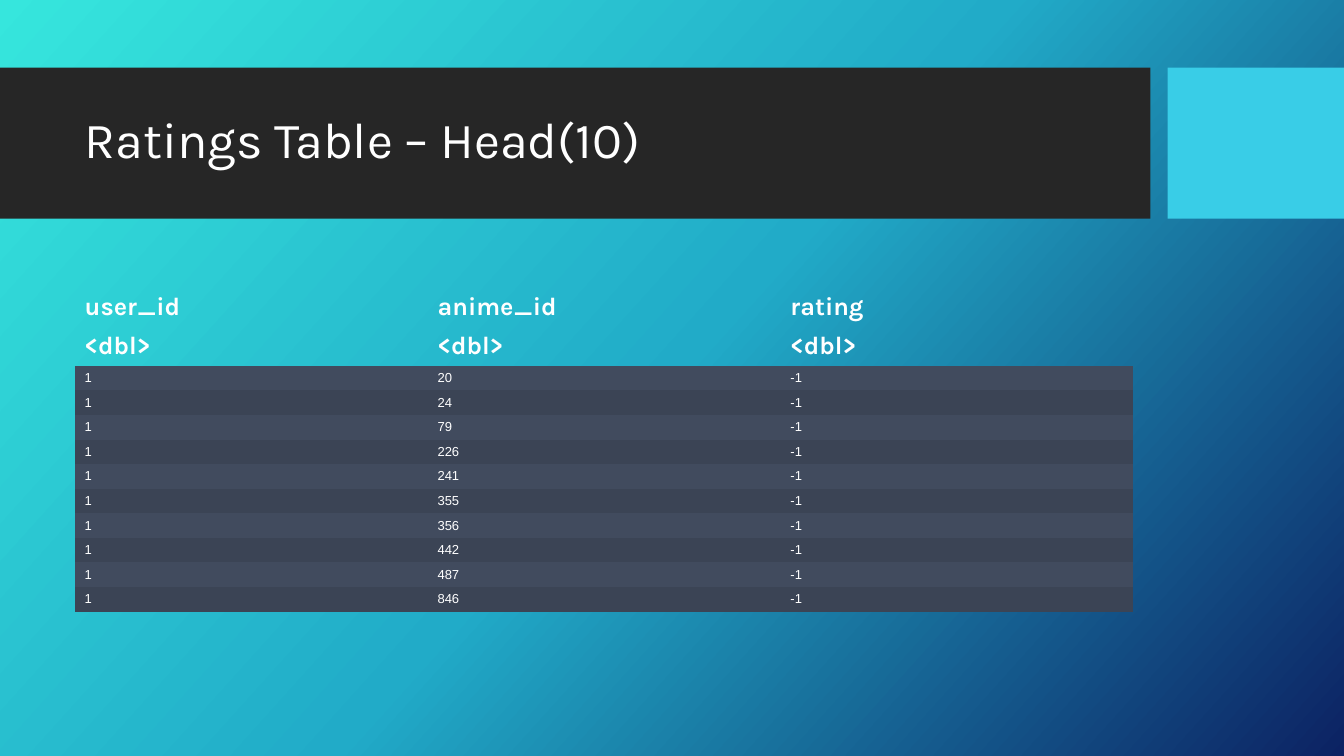
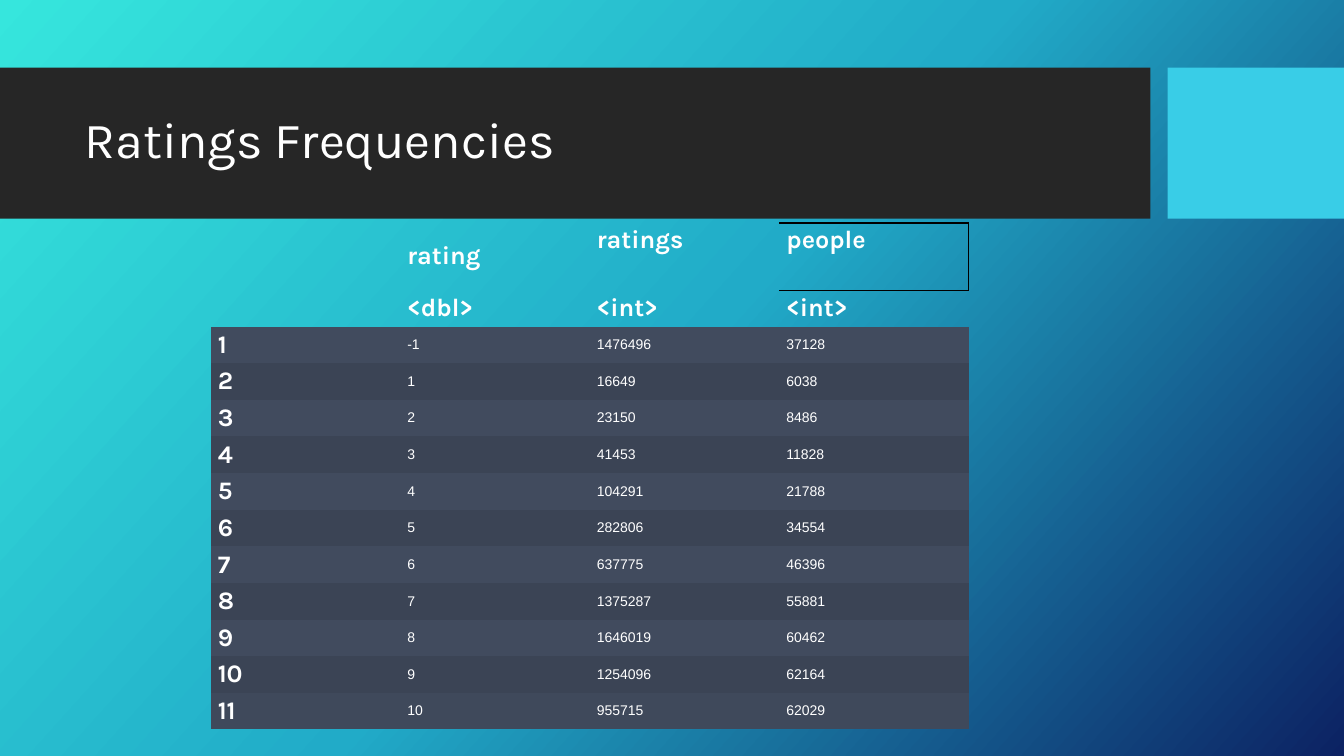
from copy import deepcopy
from dataclasses import dataclass

from pptx import Presentation
from pptx.dml.color import RGBColor
from pptx.enum.shapes import MSO_SHAPE
from pptx.enum.text import MSO_ANCHOR, MSO_AUTO_SIZE, PP_ALIGN
from pptx.oxml import parse_xml
from pptx.oxml.ns import nsdecls, qn
from pptx.util import Inches, Pt

WHITE = RGBColor(0xFF, 0xFF, 0xFF)
CHARCOAL = RGBColor(0x26, 0x26, 0x26)
CYAN = RGBColor(0x39, 0xCD, 0xE7)
ROW_LIGHT = RGBColor(0x41, 0x4B, 0x5E)
ROW_DARK = RGBColor(0x3B, 0x44, 0x55)
ROW_LAST = RGBColor(0x3F, 0x49, 0x5B)
GRADIENT = (
    (0, RGBColor(0x36, 0xE6, 0xDD)),
    (0.5, RGBColor(0x21, 0xAB, 0xC8)),
    (1, RGBColor(0x0C, 0x22, 0x63)),
)

TITLE_FONT = {"name": "Karla", "size": Pt(36), "bold": False}
HEADER_FONT = {"name": "Karla", "size": Pt(18), "bold": True}
NO_GRID_STYLE = "{2D5ABB26-0587-4C30-8999-92F81FD0307C}"


@dataclass(frozen=True)
class Band:
    left: float
    width: float
    color: RGBColor


@dataclass(frozen=True)
class DataTable:
    title: str
    left: float
    top: float
    column_width: float
    header_heights: tuple[float, float]
    body_height: float
    side_margin: float
    body_size: float
    headers: tuple[tuple[str, ...], tuple[str, ...]]
    rows: list[tuple[str, ...]]
    has_index: bool = False
    last_fill: RGBColor | None = None
    top_headers: tuple[int, ...] = ()
    boxed_header: int | None = None


BANDS = (Band(0, 11.41, CHARCOAL), Band(11.58, 1.75, CYAN))

ANIME_IDS = (20, 24, 79, 226, 241, 355, 356, 442, 487, 846)
FREQUENCIES = (
    (-1, 1476496, 37128),
    (1, 16649, 6038),
    (2, 23150, 8486),
    (3, 41453, 11828),
    (4, 104291, 21788),
    (5, 282806, 34554),
    (6, 637775, 46396),
    (7, 1375287, 55881),
    (8, 1646019, 60462),
    (9, 1254096, 62164),
    (10, 955715, 62029),
)

TABLES = (
    DataTable(
        title="Ratings Table – Head(10)",
        left=0.74, top=2.85, column_width=3.5,
        header_heights=(0.39, 0.39), body_height=2.44,
        side_margin=0.1, body_size=9.3,
        headers=(("user_id", "anime_id", "rating"), ("<dbl>",) * 3),
        rows=[("1", str(anime), "-1") for anime in ANIME_IDS],
    ),
    DataTable(
        title="Ratings Frequencies",
        left=2.09, top=2.21, column_width=1.88,
        header_heights=(0.67, 0.36), body_height=4,
        side_margin=0.07, body_size=10,
        headers=(("", "rating", "ratings", "people"),
                 ("", "<dbl>", "<int>", "<int>")),
        rows=[tuple(map(str, (index, *values)))
              for index, values in enumerate(FREQUENCIES, 1)],
        has_index=True, last_fill=ROW_LAST,
        top_headers=(2, 3), boxed_header=3,
    ),
)


def apply(target, values: dict) -> None:
    for name, value in values.items():
        setattr(target, name, value)


def style_master(master) -> None:
    """Give every page the diagonal gradient."""
    fill = master.background.fill
    fill.gradient()
    stop_list = master.element.find(".//" + qn("a:gsLst"))
    stop_list.append(deepcopy(stop_list[0]))
    for stop, (position, color) in zip(fill.gradient_stops, GRADIENT):
        stop.position = position
        stop.color.rgb = color
    fill.gradient_angle = 360 - 42


def add_bands(page, layout) -> None:
    """Draw the title bands and move them to the shared layout."""
    for number, band in enumerate(BANDS):
        box = page.shapes.add_shape(
            MSO_SHAPE.RECTANGLE, Inches(band.left), Inches(0.67),
            Inches(band.width), Inches(1.5))
        box.shadow.inherit = False
        box.fill.solid()
        box.fill.fore_color.rgb = band.color
        box.line.fill.background()
        box.element.find(".//" + qn("p:cNvPr")).set("id", str(100 + number))
        layout.shapes.element.insert(2 + number, box.element)


def set_title(page, text: str) -> None:
    title = page.shapes.title
    apply(title, {"left": Inches(0.74), "top": Inches(0.82),
                  "width": Inches(10.51), "height": Inches(1.18)})
    frame = title.text_frame
    frame.text = text
    apply(frame, {"vertical_anchor": MSO_ANCHOR.MIDDLE, "word_wrap": True,
                  "auto_size": MSO_AUTO_SIZE.NONE})
    para = frame.paragraphs[0]
    apply(para, {"alignment": PP_ALIGN.LEFT, "line_spacing": 0.9})
    span = para.runs[0]
    apply(span.font, TITLE_FONT)
    span.font.color.rgb = WHITE


def outline_cell(cell) -> None:
    """Black border above, right of and below a cell."""
    properties = cell._tc.get_or_add_tcPr()
    for position, (side, points) in enumerate(
            (("lnR", 0.75), ("lnT", 1.5), ("lnB", 0.75))):
        properties.insert(position, parse_xml(
            f'<a:{side} {nsdecls("a")} w="{Pt(points)}"><a:solidFill>'
            f'<a:srgbClr val="000000"/></a:solidFill></a:{side}>'))


def fill_cell(cell, text: str, font: dict, side_margin: float,
              color: RGBColor | None) -> None:
    apply(cell, {"margin_left": Inches(side_margin),
                 "margin_right": Inches(side_margin),
                 "margin_top": Inches(0.03), "margin_bottom": Inches(0.03),
                 "vertical_anchor": MSO_ANCHOR.MIDDLE})
    span = cell.text_frame.paragraphs[0].add_run()
    span.text = text
    apply(span.font, font)
    span.font.color.rgb = WHITE
    if color is None:
        cell.fill.background()
    else:
        cell.fill.solid()
        cell.fill.fore_color.rgb = color


def add_data_table(page, data: DataTable) -> None:
    lines = [*data.headers, *data.rows]
    columns = len(lines[0])
    header_count = len(data.headers)
    heights = [Inches(height) for height in data.header_heights]
    heights += [Inches(data.body_height / len(data.rows))] * len(data.rows)
    frame = page.shapes.add_table(
        len(lines), columns, Inches(data.left), Inches(data.top),
        Inches(data.column_width * columns), sum(heights))
    table = frame.table
    apply(table, {"first_row": False, "horz_banding": False})
    frame.element.find(".//" + qn("a:tableStyleId")).text = NO_GRID_STYLE
    for column in table.columns:
        column.width = Inches(data.column_width)

    body_font = {"name": "Arial", "size": Pt(data.body_size), "bold": False}
    for row, (line, height) in enumerate(zip(lines, heights)):
        table.rows[row].height = height
        is_header = row < header_count
        color = None
        if not is_header:
            color = (ROW_LIGHT, ROW_DARK)[(row - header_count) % 2]
            if row == len(lines) - 1 and data.last_fill is not None:
                color = data.last_fill
        for column, text in enumerate(line):
            is_bold = is_header or (data.has_index and column == 0)
            fill_cell(table.cell(row, column), text,
                      HEADER_FONT if is_bold else body_font,
                      data.side_margin, color)

    # Header cells that differ from the rest
    for column in data.top_headers:
        table.cell(0, column).vertical_anchor = MSO_ANCHOR.TOP
    if data.boxed_header is not None:
        outline_cell(table.cell(0, data.boxed_header))


def main() -> None:
    deck = Presentation()
    apply(deck, {"slide_width": Inches(13.33), "slide_height": Inches(7.5)})
    style_master(deck.slide_master)
    layout = deck.slide_layouts.get_by_name("Title Only")
    pages = [deck.slides.add_slide(layout) for _ in TABLES]
    add_bands(pages[0], layout)
    for page, data in zip(pages, TABLES):
        set_title(page, data.title)
        add_data_table(page, data)
    deck.save("out.pptx")


if __name__ == "__main__":
    main()
